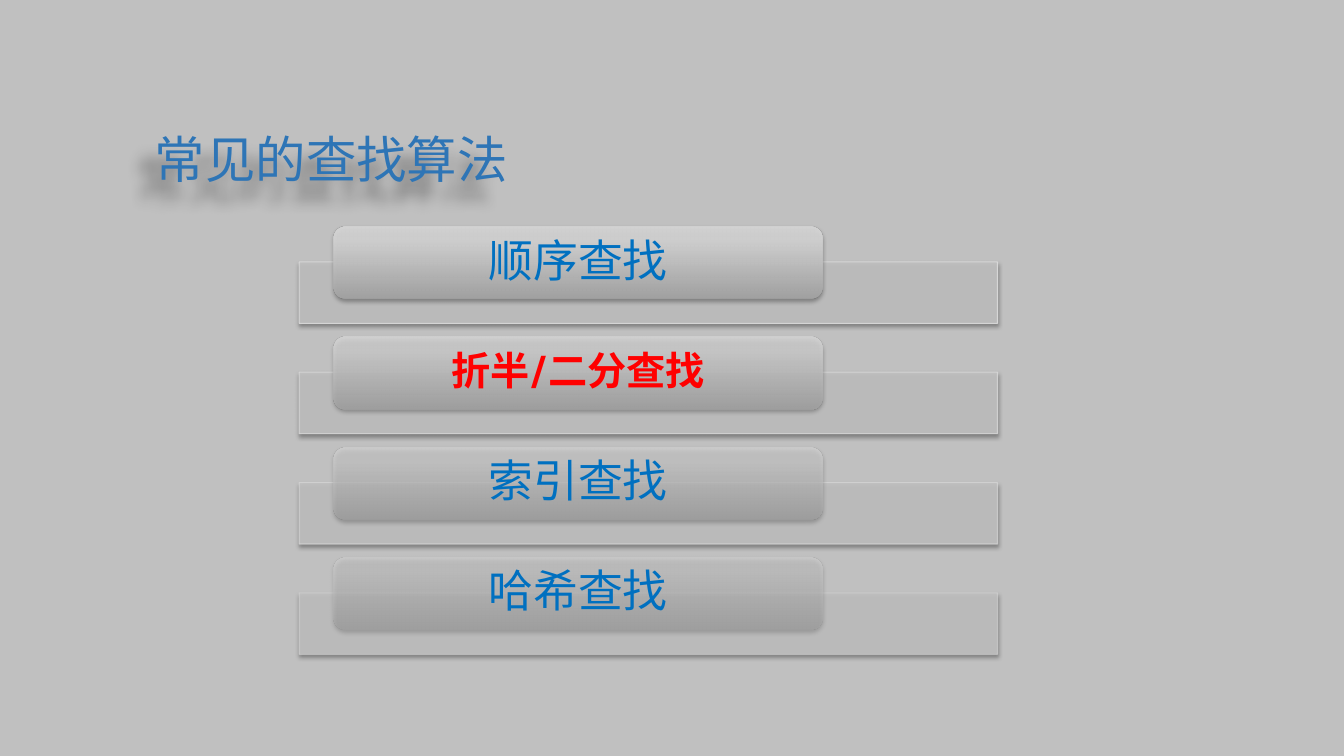
from dataclasses import dataclass

from lxml.etree import SubElement
from pptx import Presentation
from pptx.dml.color import RGBColor
from pptx.enum.shapes import MSO_SHAPE
from pptx.enum.text import MSO_ANCHOR, PP_ALIGN
from pptx.oxml.ns import qn
from pptx.shapes.base import BaseShape
from pptx.slide import Slide
from pptx.text.text import TextFrame
from pptx.util import Cm, Pt

COLORS = {
    "background": "C0C0C0",
    "title": "2E75B6",
    "bar_line": "DCDCDC",
    "label": "0070C0",
    "highlight": "FF0000",
    "shadow": "000000",
}
GRADIENT_STOPS = ((0, "A4A4A4"), (80, "D5D5D5"), (100, "D6D6D6"))
CJK_FONT = "Noto Sans CJK SC"
ROW_PITCH = 2.78


@dataclass(frozen=True)
class Algorithm:
    name: str
    opacity: int
    size: int = 32
    color: str = "label"
    font: str = CJK_FONT
    bold: bool = False


@dataclass(frozen=True)
class Shadow:
    opacity: int
    blur: float
    distance: float
    direction: int


ALGORITHMS = (
    Algorithm("顺序查找", 90),
    Algorithm("折半/二分查找", 77, 28, "highlight", "Karla", True),
    Algorithm("索引查找", 63),
    Algorithm("哈希查找", 50),
)
SHAPE_SHADOW = Shadow(35, 3.1, 1.8, 90)
TITLE_SHADOW = Shadow(40, 10, 19, 135)


def rgb(name: str) -> RGBColor:
    return RGBColor.from_string(COLORS[name])


def add_alpha(color_element, opacity: int) -> None:
    SubElement(color_element, qn("a:alpha"), val=str(opacity * 1000))


def add_shadow(shape: BaseShape, shadow: Shadow) -> None:
    shape.shadow.inherit = False
    effects = shape.element.spPr.find(qn("a:effectLst"))
    outer = SubElement(
        effects, qn("a:outerShdw"),
        blurRad=str(Pt(shadow.blur)), dist=str(Pt(shadow.distance)),
        dir=str(shadow.direction * 60000), algn="ctr", rotWithShape="0",
    )
    color = SubElement(outer, qn("a:srgbClr"), val=COLORS["shadow"])
    add_alpha(color, shadow.opacity)


def write_text(frame: TextFrame, text: str, size: int, color: str,
               font_name: str = CJK_FONT, bold: bool = False) -> None:
    frame.word_wrap = True
    paragraph = frame.paragraphs[0]
    paragraph.text = text
    paragraph.alignment = PP_ALIGN.CENTER
    paragraph.line_spacing = 0.9
    font = paragraph.font
    font.size, font.bold, font.name = Pt(size), bold, font_name
    font.color.rgb = rgb(color)
    properties = paragraph._p.pPr.find(qn("a:defRPr"))
    SubElement(properties, qn("a:ea"), typeface=CJK_FONT)


def add_title(slide: Slide) -> None:
    title = slide.shapes.title
    title.left, title.top = Cm(2.95), Cm(3.12)
    title.width, title.height = Cm(10.8), Cm(1.78)
    title.text_frame.vertical_anchor = MSO_ANCHOR.BOTTOM
    write_text(title.text_frame, "常见的查找算法", 36, "title")
    add_shadow(title, TITLE_SHADOW)


def add_bar(slide: Slide, offset: float, opacity: int) -> None:
    bar = slide.shapes.add_shape(
        MSO_SHAPE.RECTANGLE, Cm(7.54), Cm(6.6 + offset), Cm(17.6), Cm(1.55))
    bar.fill.solid()
    bar.fill.fore_color.rgb = rgb("background")
    bar.line.color.rgb = rgb("bar_line")
    bar.line.width = Pt(0.75)
    fill_color, line_color = bar.element.spPr.iter(qn("a:srgbClr"))
    add_alpha(fill_color, 90)
    add_alpha(line_color, opacity)
    add_shadow(bar, SHAPE_SHADOW)


def add_tab(slide: Slide, offset: float, opacity: int) -> None:
    tab = slide.shapes.add_shape(
        MSO_SHAPE.ROUNDED_RECTANGLE, Cm(8.41), Cm(5.71 + offset), Cm(12.32), Cm(1.82))
    tab.fill.gradient()
    tab.fill.gradient_angle = 90
    stops = next(tab.element.spPr.iter(qn("a:gsLst")))
    for stop in list(stops):
        stops.remove(stop)
    for position, color in GRADIENT_STOPS:
        stop = SubElement(stops, qn("a:gs"), pos=str(position * 1000))
        add_alpha(SubElement(stop, qn("a:srgbClr"), val=color), opacity)
    tab.line.fill.background()
    add_shadow(tab, SHAPE_SHADOW)


def add_label(slide: Slide, offset: float, algorithm: Algorithm) -> None:
    label = slide.shapes.add_textbox(
        Cm(8.5), Cm(5.8 + offset), Cm(12.14), Cm(1.63))
    frame = label.text_frame
    frame.margin_left = frame.margin_right = Cm(0.46)
    frame.margin_top = frame.margin_bottom = 0
    frame.vertical_anchor = MSO_ANCHOR.MIDDLE
    write_text(frame, algorithm.name, algorithm.size, algorithm.color,
               algorithm.font, algorithm.bold)


def main() -> None:
    presentation = Presentation()
    presentation.slide_width, presentation.slide_height = Cm(33.87), Cm(19.05)
    slide = presentation.slides.add_slide(presentation.slide_layouts[5])
    slide.background.fill.solid()
    slide.background.fill.fore_color.rgb = rgb("background")

    add_title(slide)
    for row, algorithm in enumerate(ALGORITHMS):
        offset = row * ROW_PITCH
        add_bar(slide, offset, algorithm.opacity)
        add_tab(slide, offset, algorithm.opacity)
        add_label(slide, offset, algorithm)
    presentation.save("out.pptx")


if __name__ == "__main__":
    main()
